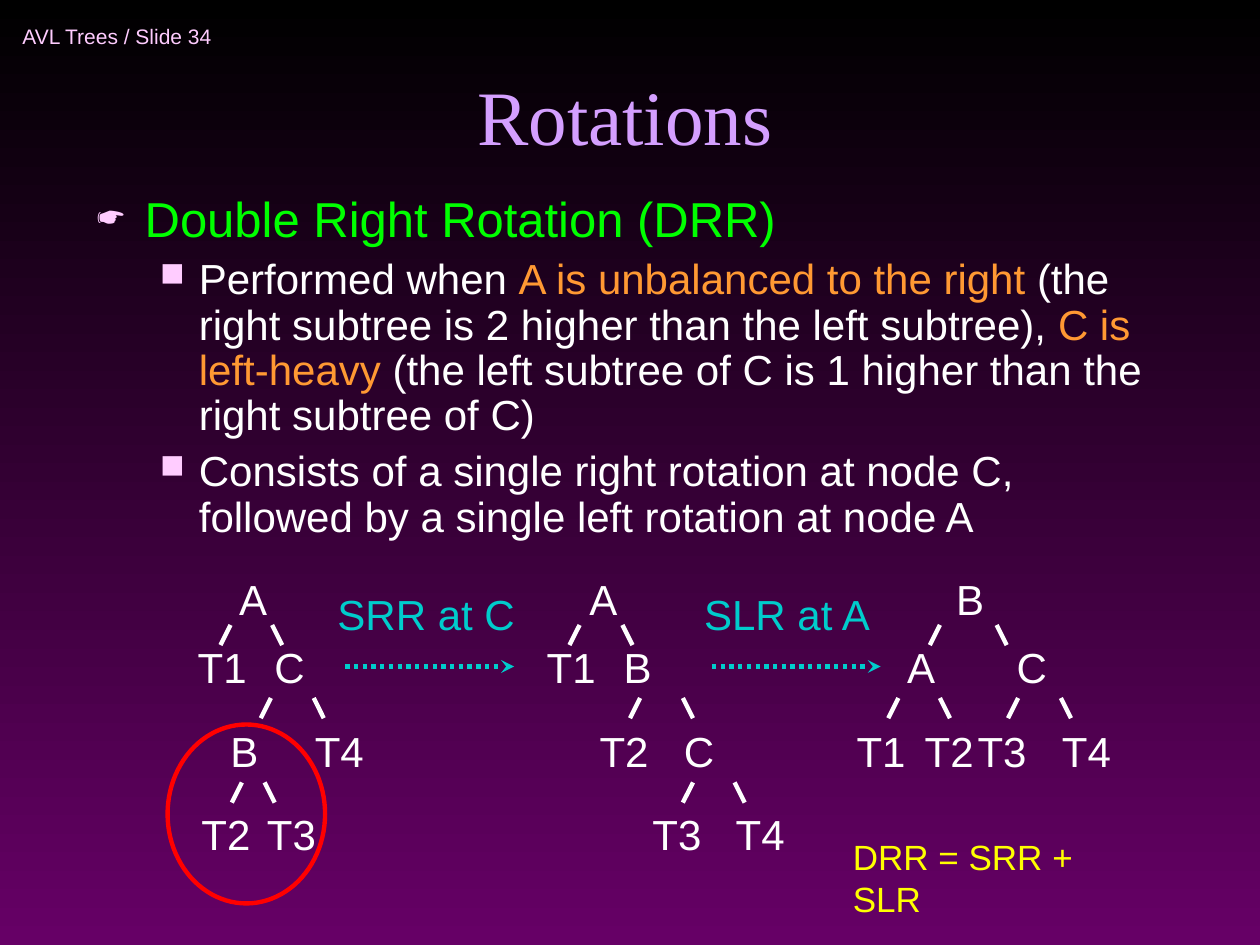
from lxml.etree import SubElement
from pptx import Presentation
from pptx.dml.color import RGBColor
from pptx.enum.dml import MSO_LINE
from pptx.enum.shapes import MSO_CONNECTOR, MSO_SHAPE
from pptx.enum.text import MSO_ANCHOR, MSO_AUTO_SIZE, PP_ALIGN
from pptx.oxml.ns import qn
from pptx.util import Pt

EMU_PER_PX = 9144
BLACK = RGBColor(0x00, 0x00, 0x00)
PURPLE = RGBColor(0x66, 0x00, 0x66)
PINK = RGBColor(0xFF, 0xCC, 0xFF)
LILAC = RGBColor(0xD4, 0x9F, 0xFF)
GREEN = RGBColor(0x00, 0xFF, 0x00)
ORANGE = RGBColor(0xFF, 0x99, 0x33)
WHITE = RGBColor(0xFF, 0xFF, 0xFF)
TEAL = RGBColor(0x00, 0xCC, 0xCC)
YELLOW = RGBColor(0xFF, 0xFF, 0x00)
RED = RGBColor(0xFF, 0x00, 0x00)

LINE_WIDTH = Pt(2.5)
ROW_TOPS = (0, 54, 121, 187)
BRANCH_TOPS = (46, 104, 171)
BRANCH_RUN, BRANCH_DROP = 8, 16
NODE_WIDTHS = {"A": 42, "B": 42, "C": 44}
SUBTREE_WIDTH, NODE_HEIGHT = 59, 50

BEFORE_NODES = (("A", 33, 0), ("T1", 0, 1), ("C", 61, 1), ("B", 26, 2),
                ("T4", 93, 2), ("T2", 3, 3), ("T3", 55, 3))
BEFORE_BRANCHES = ((36, 69, 0), (68, 102, 1), (45, 63, 2))
MIDDLE_NODES = (("A", 34, 0), ("T1", 0, 1), ("B", 61, 1), ("T2", 42, 2),
                ("C", 109, 2), ("T3", 84, 3), ("T4", 150, 3))
MIDDLE_BRANCHES = ((36, 70, 0), (84, 118, 1), (126, 159, 2))
AFTER_NODES = (("B", 79, 0), ("A", 40, 1), ("C", 127, 1), ("T1", 0, 2),
               ("T2", 54, 2), ("T3", 96, 2), ("T4", 163, 2))
AFTER_BRANCHES = ((76, 121, 0), (43, 76, 1), (138, 172, 1))


def px(*lengths):
    return [length * EMU_PER_PX for length in lengths]


def add_runs(paragraph, runs, size, font):
    for text, color in runs:
        run = paragraph.add_run()
        run.text = text
        run.font.size = Pt(size)
        run.font.name = font
        run.font.color.rgb = color


def add_text(slide, box, text, *, size=24, font="Arial", color=WHITE, wrap=False,
             grow=True, anchor=MSO_ANCHOR.TOP, align=PP_ALIGN.LEFT):
    frame = slide.shapes.add_textbox(*px(*box)).text_frame
    frame.word_wrap = wrap
    frame.auto_size = MSO_AUTO_SIZE.SHAPE_TO_FIT_TEXT if grow else MSO_AUTO_SIZE.NONE
    frame.vertical_anchor = anchor
    paragraph = frame.paragraphs[0]
    paragraph.alignment = align
    if text:
        add_runs(paragraph, [(text, color)], size, font)
    return frame


def add_line(slide, start, end, color=WHITE):
    line = slide.shapes.add_connector(MSO_CONNECTOR.STRAIGHT, *px(*start, *end))
    line.line.color.rgb = color
    line.line.width = LINE_WIDTH
    SubElement(line.element.spPr, qn("a:effectLst"))
    return line


def format_bullet(paragraph, character, percent, margin, indent, level):
    properties = paragraph._p.get_or_add_pPr()
    properties.set("marL", str(margin * EMU_PER_PX))
    properties.set("indent", str(-indent * EMU_PER_PX))
    bullet_color = SubElement(properties, qn("a:buClr"))
    SubElement(bullet_color, qn("a:srgbClr")).set("val", str(PINK))
    SubElement(properties, qn("a:buSzPct")).set("val", str(percent * 1000))
    SubElement(properties, qn("a:buChar")).set("char", character)
    paragraph.level = level
    paragraph.line_spacing = 0.9


def add_body(slide, box):
    frame = add_text(slide, box, "", wrap=True, grow=False)
    heading = frame.paragraphs[0]
    format_bullet(heading, "☛", 75, 38, 38, 0)
    add_runs(heading, [("Double Right Rotation (DRR)", GREEN)], 28, "Arial")
    points = (
        (("Performed when ", WHITE),
         ("A is unbalanced to the right", ORANGE),
         (" (the right subtree is 2 higher than the left subtree), ", WHITE),
         ("C is left-heavy", ORANGE),
         (" (the left subtree of C is 1 higher than the right subtree of C)", WHITE)),
        (("Consists of a single right rotation at node C, "
          "followed by a single left rotation at node A", WHITE),),
    )
    for runs in points:
        paragraph = frame.add_paragraph()
        format_bullet(paragraph, "■", 80, 81, 31, 1)
        paragraph.space_before = Pt(6)
        add_runs(paragraph, runs, 24, "Arial")


def add_tree(slide, left, top, nodes, branches):
    for name, x, row in nodes:
        width = NODE_WIDTHS.get(name, SUBTREE_WIDTH)
        add_text(slide, (left + x, top + ROW_TOPS[row], width, NODE_HEIGHT), name)
    for left_x, right_x, row in branches:
        y = top + BRANCH_TOPS[row]
        for x, run in ((left_x, -BRANCH_RUN), (right_x, BRANCH_RUN)):
            add_line(slide, (left + x, y), (left + x + run, y + BRANCH_DROP))


def add_step(slide, box, label):
    left, top, width, height = box
    add_text(slide, box, label, color=TEAL)
    y = top + 67
    arrow = add_line(slide, (left + 16, y), (left + 150, y), TEAL)
    arrow.line.dash_style = MSO_LINE.ROUND_DOT
    SubElement(arrow.line._get_or_add_ln(), qn("a:tailEnd")).set("type", "stealth")


def add_highlight(slide, box):
    ellipse = slide.shapes.add_shape(MSO_SHAPE.OVAL, *px(*box))
    ellipse.shadow.inherit = False
    ellipse.fill.background()
    ellipse.line.color.rgb = RED
    ellipse.line.width = LINE_WIDTH


def paint_background(slide):
    fill = slide.background.fill
    fill.gradient()
    fill.gradient_angle = 270
    for stop, color, position in zip(fill.gradient_stops, (BLACK, PURPLE), (0, 1)):
        stop.color.rgb = color
        stop.position = position


def main():
    presentation = Presentation()
    presentation.slide_width, presentation.slide_height = px(1000, 750)
    slide = presentation.slides.add_slide(presentation.slide_layouts[6])
    paint_background(slide)
    add_text(slide, (8, 8, 275, 42), "AVL Trees / Slide 34", size=12, color=PINK,
             wrap=True, grow=False, anchor=MSO_ANCHOR.MIDDLE)
    add_text(slide, (67, 8, 858, 125), "Rotations", size=44, font="Times New Roman",
             color=LILAC, wrap=True, grow=False, anchor=MSO_ANCHOR.BOTTOM,
             align=PP_ALIGN.CENTER)
    add_body(slide, (67, 150, 858, 300))
    add_tree(slide, 147, 450, BEFORE_NODES, BEFORE_BRANCHES)
    add_step(slide, (258, 462, 161, 50), "SRR at C")
    add_tree(slide, 424, 450, MIDDLE_NODES, MIDDLE_BRANCHES)
    add_step(slide, (549, 462, 153, 50), "SLR at A")
    add_tree(slide, 670, 450, AFTER_NODES, AFTER_BRANCHES)
    add_text(slide, (667, 658, 256, 44), "DRR = SRR + SLR", size=20, color=YELLOW)
    add_highlight(slide, (133, 575, 125, 142))
    presentation.save("out.pptx")


if __name__ == "__main__":
    main()
